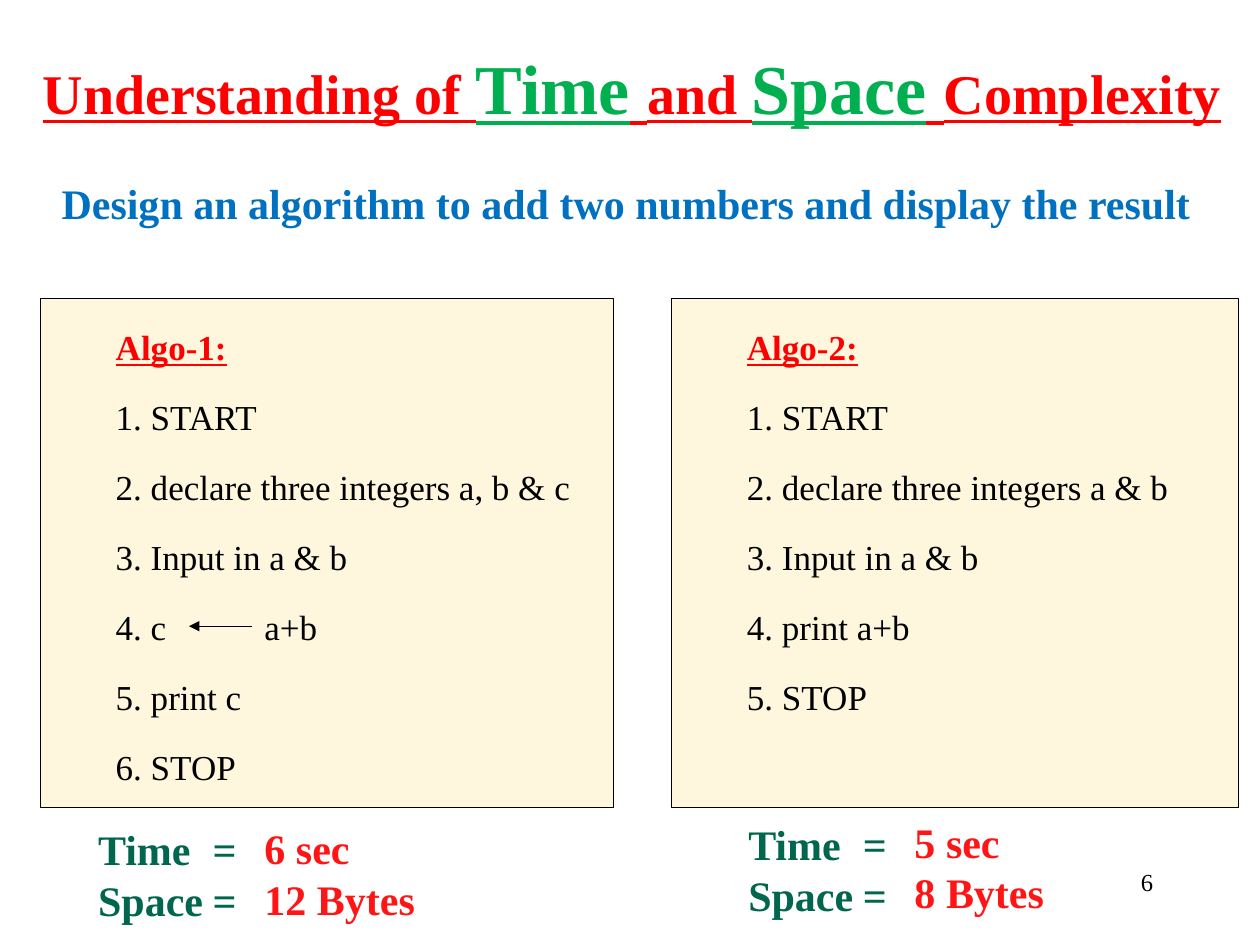
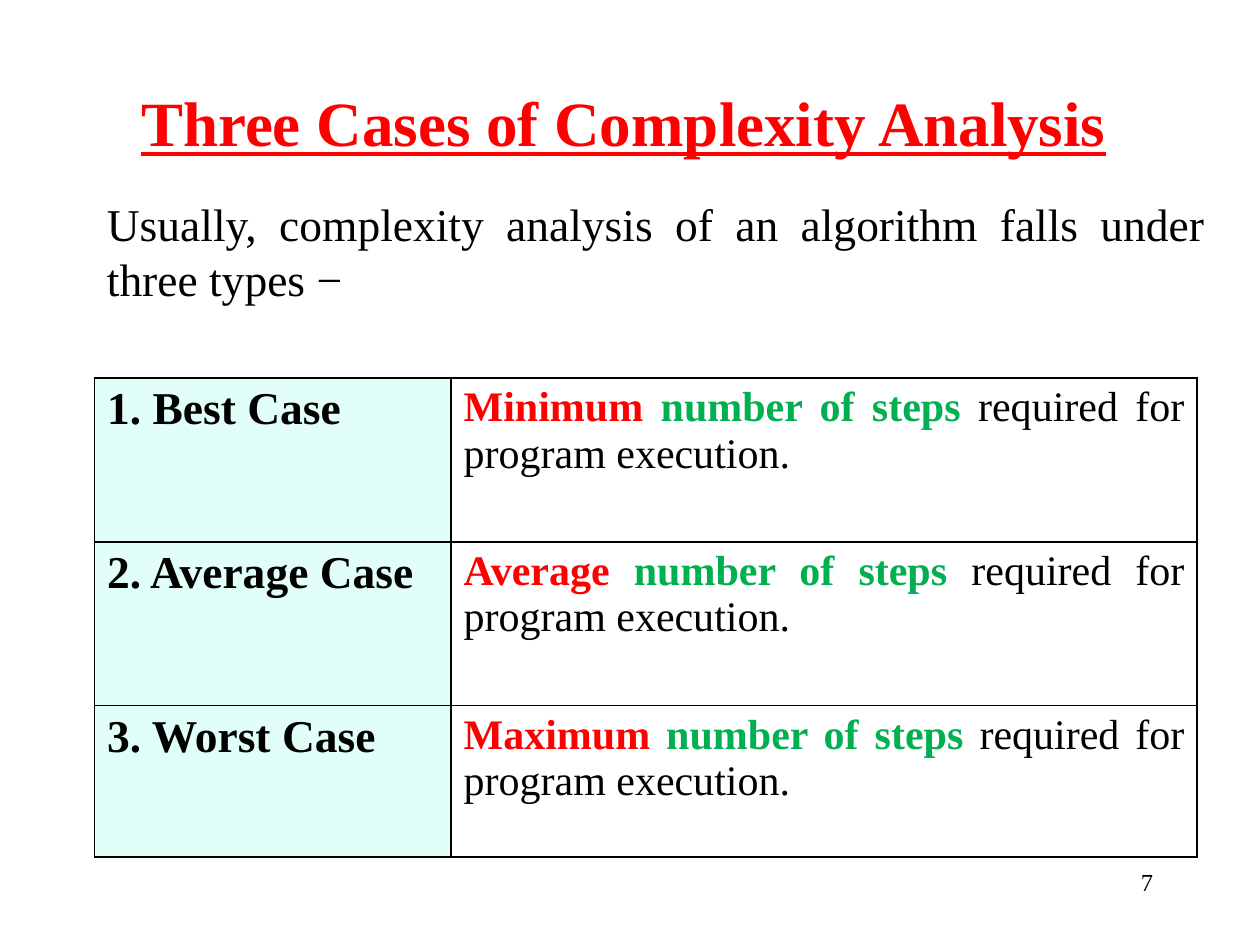
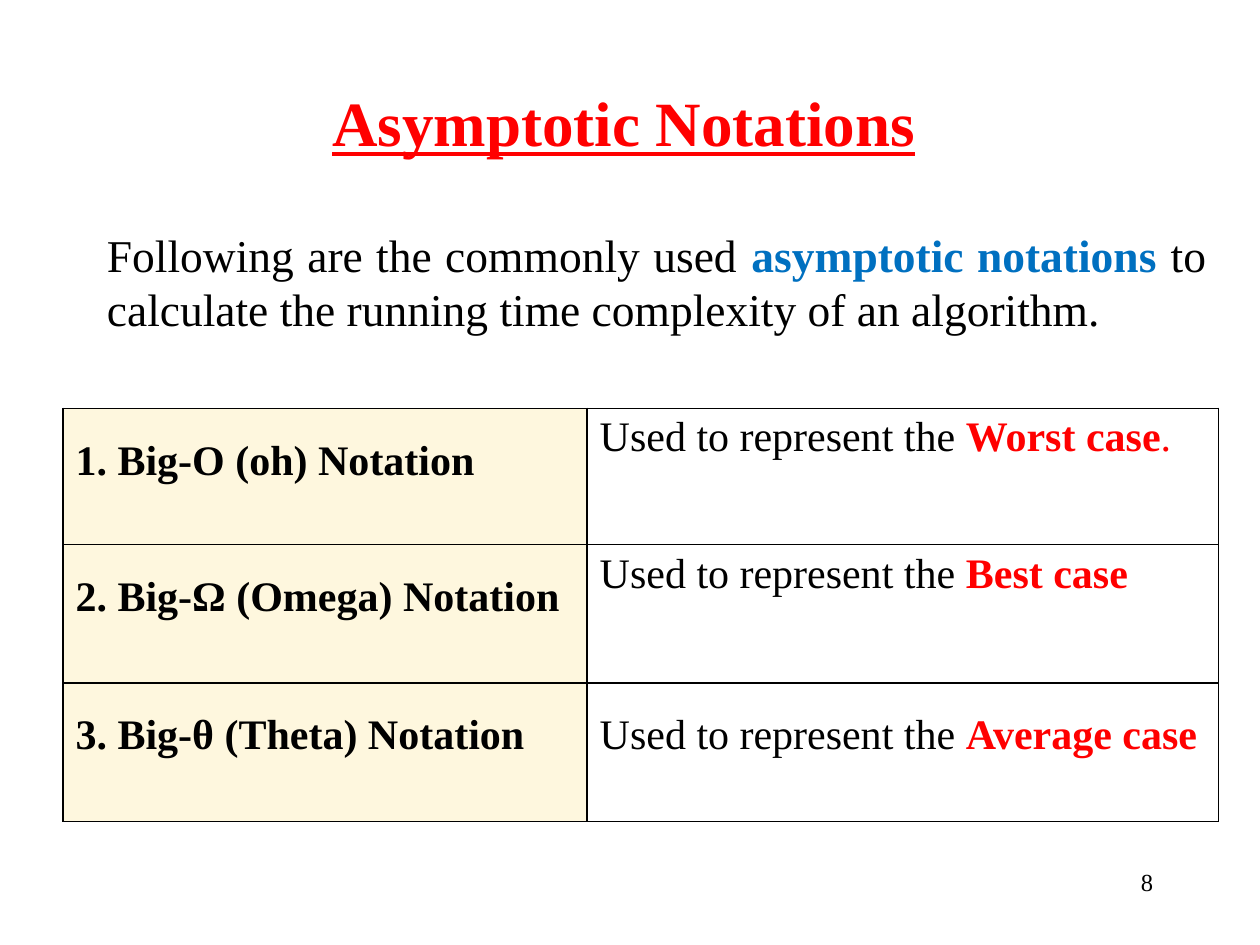
from dataclasses import dataclass
from typing import Optional

from lxml import etree
from pptx import Presentation
from pptx import util as u
from pptx.dml.color import RGBColor
from pptx.enum import shapes, text
from pptx.oxml.ns import qn

FACE = "Times New Roman"
RED, GREEN, BLUE, BLACK, WHITE = "FF0000", "00B050", "0070C0", "000000", "FFFFFF"
CREAM, MINT, LABEL_GREEN, VALUE_RED = "FEF7DE", "E1FFF8", "00664D", "FF1515"
LEFT, CENTER = text.PP_ALIGN.LEFT, text.PP_ALIGN.CENTER
RIGHT, JUSTIFY = text.PP_ALIGN.RIGHT, text.PP_ALIGN.JUSTIFY
TOP, MIDDLE = text.MSO_ANCHOR.TOP, text.MSO_ANCHOR.MIDDLE


@dataclass(frozen=True)
class Box:
    left: float
    top: float
    width: float
    height: float

    def emu(self) -> tuple:
        return tuple(map(u.Inches, (self.left, self.top, self.width, self.height)))


@dataclass(frozen=True)
class Run:
    words: str
    size: float
    color: str = BLACK
    bold: bool = False
    underline: bool = False


@dataclass(frozen=True)
class Para:
    runs: tuple
    align: text.PP_ALIGN = LEFT
    spacing: Optional[float] = None
    before: float = 0
    margin: float = 0
    indent: float = 0
    tab: Optional[float] = None


@dataclass(frozen=True)
class Algorithm:
    name: str
    box: Box
    steps: tuple
    labels: Box
    values: Box
    costs: tuple


@dataclass(frozen=True)
class Grid:
    left: float
    top: float
    columns: tuple
    rows: tuple
    fill: str
    cells: tuple


def rgb(color: str) -> RGBColor:
    return RGBColor.from_string(color)


def set_font(font, run: Run) -> None:
    font.name = FACE
    font.size = u.Pt(run.size)
    font.bold = run.bold
    font.underline = run.underline
    font.color.rgb = rgb(run.color)


def write(frame, paras: tuple) -> None:
    for index, para in enumerate(paras):
        line = frame.paragraphs[0] if index == 0 else frame.add_paragraph()
        line.alignment = para.align
        line.space_before = u.Pt(para.before)
        if para.spacing:
            line.line_spacing = para.spacing
        for run in para.runs:
            piece = line.add_run()
            piece.text = run.words
            if len(para.runs) > 1:
                set_font(piece.font, run)
        if len(para.runs) == 1:
            set_font(line.font, para.runs[0])
        properties = line._p.get_or_add_pPr()
        if para.margin:
            properties.set("marL", str(u.Inches(para.margin)))
            properties.set("indent", str(u.Inches(para.indent)))
        if para.tab:
            stops = etree.Element(qn("a:tabLst"))
            etree.SubElement(stops, qn("a:tab"), pos=str(u.Inches(para.tab)), algn="l")
            properties.find(qn("a:defRPr")).addprevious(stops)


def add_text(slide, box: Box, *paras: Para, anchor=TOP, wrap: bool = True) -> None:
    frame = slide.shapes.add_textbox(*box.emu()).text_frame
    frame.word_wrap = wrap
    frame.vertical_anchor = anchor
    write(frame, paras)


def add_page(deck, number: int, heading_box: Box, *heading: Run):
    slide = deck.slides.add_slide(deck.slide_layouts[6])
    add_text(slide, heading_box, Para(heading, CENTER), anchor=MIDDLE)
    add_text(slide, Box(7.17, 6.83, 2.08, 0.5), Para((Run(str(number), 14),), RIGHT))
    return slide


def step_line(run: Run, before: float = 0) -> Para:
    return Para((run,), JUSTIFY, 1.5, before, 0.81, -0.31)


def add_algorithm(slide, algorithm: Algorithm) -> None:
    panel = slide.shapes.add_shape(shapes.MSO_SHAPE.RECTANGLE, *algorithm.box.emu())
    panel.shadow.inherit = False
    panel.fill.solid()
    panel.fill.fore_color.rgb = rgb(CREAM)
    panel.line.color.rgb = rgb(BLACK)
    panel.line.width = u.Pt(0.75)
    frame = panel.text_frame
    frame.word_wrap = True
    frame.vertical_anchor = TOP
    steps = (step_line(Run(f"{number}. {step}", 20), 4)
             for number, step in enumerate(algorithm.steps, 1))
    write(frame, (step_line(Run(algorithm.name, 20, RED, True, True)), *steps))
    labels = (Para((Run(label, 24, LABEL_GREEN, True),), tab=0.91)
              for label in ("Time\t=", "Space\t="))
    add_text(slide, algorithm.labels, *labels, wrap=False)
    costs = (Para((Run(cost, 24, VALUE_RED, True),)) for cost in algorithm.costs)
    add_text(slide, algorithm.values, *costs, wrap=False)


def add_assignment(slide, start: float, end: float, level: float, value: str) -> None:
    arrow = slide.shapes.add_connector(
        shapes.MSO_CONNECTOR.STRAIGHT, *map(u.Inches, (start, level, end, level)))
    arrow.line.color.rgb = rgb(BLACK)
    arrow.line.width = u.Pt(0.75)
    etree.SubElement(arrow.line._get_or_add_ln(), qn("a:tailEnd"), type="triangle")
    etree.SubElement(arrow._element.spPr, qn("a:effectLst"))
    add_text(slide, Box(start, level - 0.21, 0.7, 0.44), Para((Run(value, 20),)),
             wrap=False)


def add_borders(cell) -> None:
    properties = cell._tc.get_or_add_tcPr()
    for position, side in enumerate(("lnL", "lnR", "lnT", "lnB")):
        border = etree.Element(qn(f"a:{side}"), w=str(u.Pt(1)))
        fill = etree.SubElement(border, qn("a:solidFill"))
        etree.SubElement(fill, qn("a:srgbClr"), val=BLACK)
        properties.insert(position, border)


def add_grid(slide, grid: Grid) -> None:
    box = Box(grid.left, grid.top, sum(grid.columns), sum(grid.rows))
    table = slide.shapes.add_table(len(grid.rows), len(grid.columns), *box.emu()).table
    table.first_row = table.horz_banding = False
    for column, width in zip(table.columns, grid.columns):
        column.width = u.Inches(width)
    for row, height, paras in zip(table.rows, grid.rows, grid.cells):
        row.height = u.Inches(height)
        for cell, para, fill in zip(row.cells, paras, (grid.fill, WHITE)):
            cell.fill.solid()
            cell.fill.fore_color.rgb = rgb(fill)
            add_borders(cell)
            write(cell.text_frame, (para,))


def case_row(number: int, case: str, amount: str) -> tuple:
    meaning = (Run(amount, 24, RED, True), Run(" number of steps ", 24, GREEN, True),
               Run("required for program execution.", 24))
    return Para((Run(f"{number}. {case} Case", 26, bold=True),)), Para(meaning, JUSTIFY)


def notation_row(number: int, notation: str, case: str, ending: str = "",
                 spacing: Optional[float] = None) -> tuple:
    use = [Run("Used to represent the ", 24), Run(f"{case} case", 24, RED, True)]
    if ending:
        use.append(Run(ending, 24, RED))
    name = Run(f"{number}. Big-{notation} Notation", 24, bold=True)
    return Para((name,), spacing=1.5), Para(tuple(use), spacing=spacing)


ALGORITHMS = (
    Algorithm("Algo-1:", Box(0.32, 2.37, 4.55, 4.04),
              ("START", "declare three integers a, b & c", "Input in a & b",
               "c", "print c", "STOP"),
              Box(0.68, 6.49, 1.32, 0.91), Box(2, 6.48, 1.41, 0.91),
              ("6 sec", "12 Bytes")),
    Algorithm("Algo-2:", Box(5.33, 2.37, 4.5, 4.04),
              ("START", "declare three integers a & b", "Input in a & b",
               "print a+b", "STOP"),
              Box(5.84, 6.45, 1.32, 0.91), Box(7.16, 6.43, 1.24, 0.91),
              ("5 sec", "8 Bytes")),
)
CASES = Grid(0.75, 3, (2.83, 5.92), (1.3, 1.3, 1.2), MINT, (
    case_row(1, "Best", "Minimum"),
    case_row(2, "Average", "Average"),
    case_row(3, "Worst", "Maximum"),
))
NOTATIONS = Grid(0.5, 3.24, (4.16, 5.01), (1.08, 1.1, 1.1), CREAM, (
    notation_row(1, "O (oh)", "Worst", "."),
    notation_row(2, "Ω (Omega)", "Best"),
    notation_row(3, "θ (Theta)", "Average", spacing=1.5),
))
HEADING = Box(1, 0.42, 7.9, 1.09)


def main() -> None:
    deck = Presentation()
    deck.slide_width, deck.slide_height = u.Inches(10), u.Inches(7.5)

    comparison = add_page(
        deck, 6, Box(0.2, 0.18, 9.63, 1.02),
        Run("Understanding of ", 32, RED, True, True),
        Run("Time", 40, GREEN, True, True), Run(" ", 40, RED, True, True),
        Run("and ", 32, RED, True, True),
        Run("Space", 40, GREEN, True, True), Run(" ", 40, RED, True, True),
        Run("Complexity", 32, RED, True, True))
    task = "Design an algorithm to add two numbers and display the result"
    add_text(comparison, Box(0.39, 1.17, 9.25, 0.88),
             Para((Run(task, 24, BLUE, True),)), anchor=MIDDLE)
    for algorithm in ALGORITHMS:
        add_algorithm(comparison, algorithm)
    add_assignment(comparison, 2, 1.5, 4.97, "a+b")

    cases = add_page(deck, 7, HEADING,
                     Run("Three Cases of Complexity Analysis", 36, RED, True, True))
    intro = "Usually, complexity analysis of an algorithm falls under three types −"
    add_text(cases, Box(0.75, 1.51, 8.92, 0.98), Para((Run(intro, 26),), JUSTIFY))
    add_grid(cases, CASES)

    notations = add_page(deck, 8, HEADING,
                         Run("Asymptotic Notations", 36, RED, True, True))
    add_text(notations, Box(0.75, 1.75, 8.92, 0.98), Para((
        Run("Following are the commonly used ", 26),
        Run("asymptotic notations ", 26, BLUE, True),
        Run("to calculate the running time complexity of an algorithm.", 26),
    ), JUSTIFY))
    add_grid(notations, NOTATIONS)

    deck.save("out.pptx")


if __name__ == "__main__":
    main()
